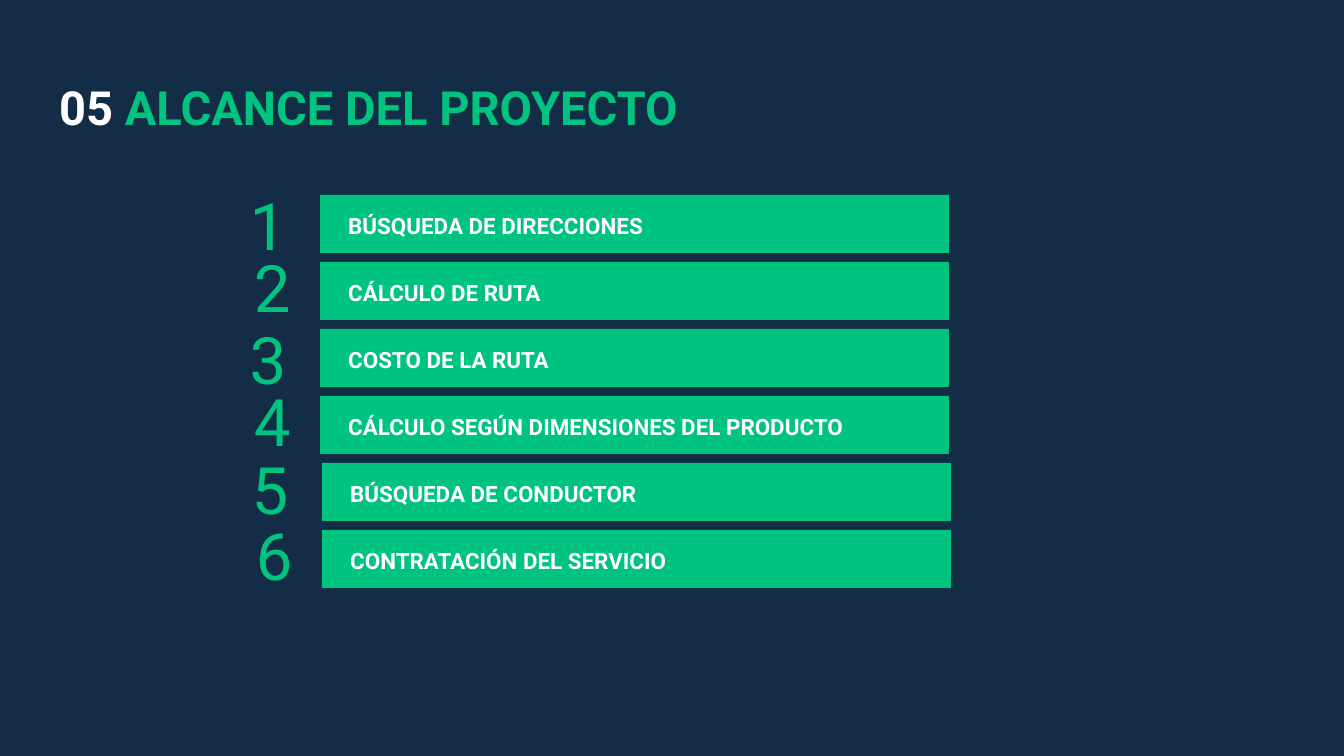
"""Build the project scope slide: a title and six numbered bars."""
import pptx
import pptx.dml.color
import pptx.enum.shapes
import pptx.enum.text
import pptx.util

ALIGN = pptx.enum.text.PP_ALIGN
ANCHOR = pptx.enum.text.MSO_ANCHOR


class ScopeSlide:
    """Holds the style and the slide being built."""

    colours = {"navy": "132D46", "green": "01C380", "white": "FFFFFF"}
    font = "Roboto"
    emu_per_px = 914400 / 134.4

    def __init__(self, width, height):
        self.deck = pptx.Presentation()
        self.deck.slide_width, self.deck.slide_height = self.px(width, height)
        self.slide = self.deck.slides.add_slide(self.deck.slide_layouts[6])
        self.paint(self.slide.background.fill, "navy")

    def px(self, *lengths):
        return [pptx.util.Emu(round(length * self.emu_per_px)) for length in lengths]

    def rgb(self, colour):
        return pptx.dml.color.RGBColor.from_string(self.colours[colour])

    def paint(self, fill, colour):
        fill.solid()
        fill.fore_color.rgb = self.rgb(colour)

    def add_words(self, frame, runs, align=ALIGN.LEFT, spacing=1.0, bold=False):
        """Fill a frame with one paragraph of (text, size, colour) runs."""
        frame.word_wrap = True
        paragraph = frame.paragraphs[0]
        paragraph.alignment = align
        paragraph.line_spacing = spacing
        for text, size, colour in runs:
            run = paragraph.add_run()
            run.text = text
            run.font.name = self.font
            run.font.size = pptx.util.Pt(size)
            run.font.bold = bold
            run.font.color.rgb = self.rgb(colour)

    def title(self, box, runs):
        frame = self.slide.shapes.add_textbox(*self.px(*box)).text_frame
        frame.margin_top, frame.margin_bottom = self.px(13, 13)
        self.add_words(frame, runs, bold=True)

    def rectangle(self, group, box, colour):
        shape = group.shapes.add_shape(
            pptx.enum.shapes.MSO_SHAPE.RECTANGLE, *self.px(*box))
        shape.shadow.inherit = False
        self.paint(shape.fill, colour)
        shape.line.fill.background()
        shape.text_frame.vertical_anchor = ANCHOR.MIDDLE
        return shape

    def item(self, left, top, number_box, number_runs, label):
        """Draw one numbered bar as a group."""
        group = self.slide.shapes.add_group_shape()
        number = self.rectangle(group, number_box, "navy")
        self.add_words(number.text_frame, number_runs, ALIGN.RIGHT, 0.9)
        self.rectangle(group, (left, top, 629, 58), "green")
        caption = self.rectangle(group, (left + 15, top + 6, 574, 46), "green")
        self.add_words(caption.text_frame, [(label, 12, "white")], spacing=1.15, bold=True)


def main():
    scope = ScopeSlide(1344, 756)
    scope.title((46, 66, 1253, 85),
                [("05 ", 25.2, "white"), ("ALCANCE DEL PROYECTO", 25.2, "green")])

    items = [
        ("BÚSQUEDA DE DIRECCIONES", 320, 4, 44),
        ("CÁLCULO DE RUTA", 320, 4, 35),
        ("COSTO DE LA RUTA", 320, 4, 44),
        ("CÁLCULO SEGÚN DIMENSIONES DEL PRODUCTO", 320, 4, 35),
        ("BÚSQUEDA DE CONDUCTOR", 322, 0, 44),
        ("CONTRATACIÓN DEL SERVICIO", 322, 4, 35),
    ]
    for index, (label, left, number_drop, space_size) in enumerate(items):
        top = 195 + 67 * index
        scope.item(left, top, (left - 250, top + number_drop, 250, 50),
                   [(str(index + 1), 35, "green"), (" ", space_size, "green")], label)

    scope.deck.save("out.pptx")


if __name__ == "__main__":
    main()
